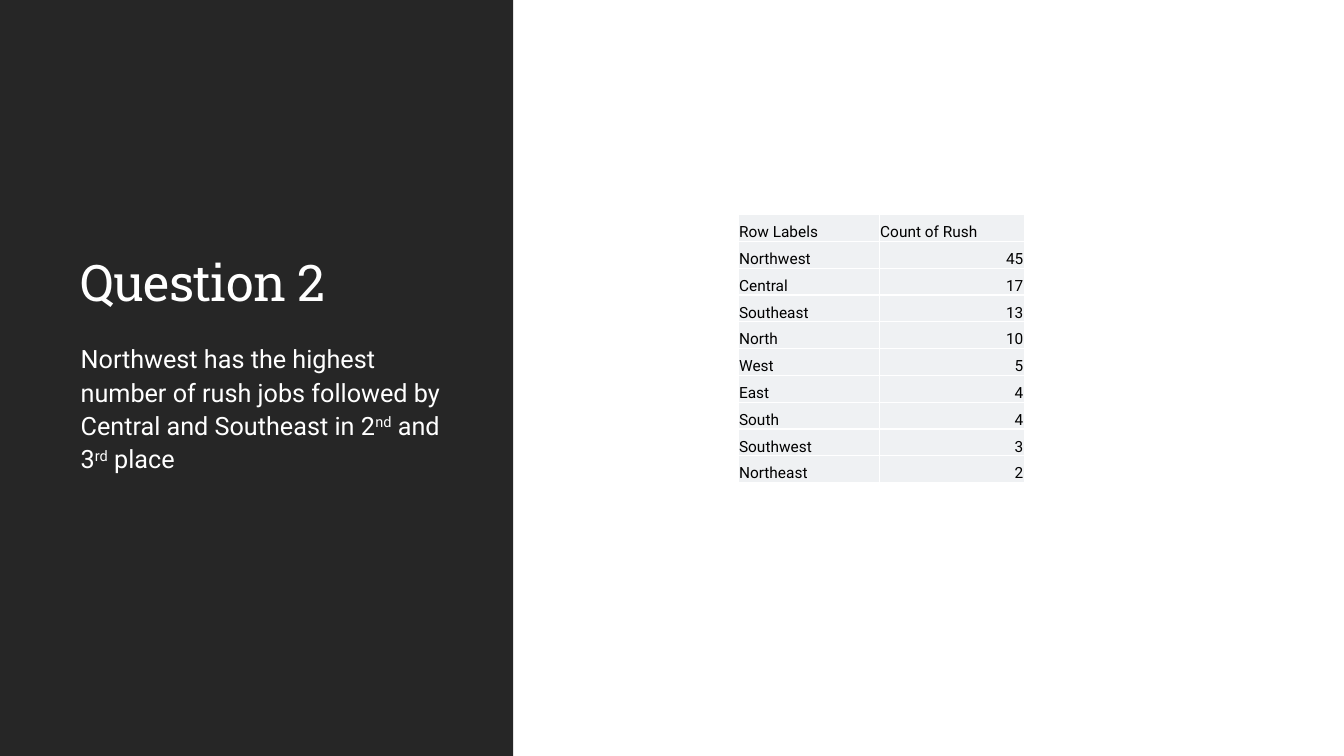
from lxml.etree import SubElement
from pptx import Presentation
from pptx.dml.color import RGBColor
from pptx.enum.shapes import MSO_SHAPE
from pptx.enum.text import MSO_ANCHOR, MSO_AUTO_SIZE, PP_ALIGN
from pptx.oxml import parse_xml
from pptx.oxml.ns import nsdecls, qn
from pptx.util import Inches, Pt


def paint(fill, color):
    fill.solid()
    fill.fore_color.rgb = RGBColor.from_string(color)


def write(frame, *parts, font, size, color, align=PP_ALIGN.LEFT,
          anchor=MSO_ANCHOR.TOP, line=1.0, before=0, after=0, spacing=0):
    """Fill the first paragraph; every second part is superscript."""
    frame.vertical_anchor = anchor
    paragraph = frame.paragraphs[0]
    paragraph.alignment = align
    paragraph.line_spacing = line
    paragraph.space_before, paragraph.space_after = Pt(before), Pt(after)
    for number, part in enumerate(parts):
        run = paragraph.add_run()
        run.text = part
        run.font.name, run.font.size, run.font.bold = font, Pt(size), False
        paint(run.font.fill, color)
        properties = run.font._element
        if spacing:
            properties.set("spc", str(int(spacing * 100)))
        if number % 2:
            properties.set("baseline", "30000")


presentation = Presentation()
presentation.slide_width, presentation.slide_height = Inches(13.33), Inches(7.5)
slide = presentation.slides.add_slide(presentation.slide_layouts[1])
paint(slide.background.fill, "FFFFFF")

# Dark side panel, behind the placeholders
panel = slide.shapes.add_shape(MSO_SHAPE.RECTANGLE, 0, 0, Inches(5.09), Inches(7.5))
panel.shadow.inherit = False
paint(panel.fill, "262626")
panel.line.fill.background()
panel.element.getparent().insert(2, panel.element)

# Heading and finding
heading, finding = slide.shapes.title, slide.placeholders[1]
for placeholder, top, height in ((heading, 0.86, 2.29), (finding, 3.33, 3.35)):
    placeholder.left, placeholder.top = Inches(0.7), Inches(top)
    placeholder.width, placeholder.height = Inches(3.85), Inches(height)
    placeholder.text_frame.word_wrap = True
    placeholder.text_frame.auto_size = MSO_AUTO_SIZE.NONE

write(heading.text_frame, "Question 2", font="Roboto Slab", size=36, color="FFFFFF",
      anchor=MSO_ANCHOR.BOTTOM, line=0.9, spacing=-0.5)
write(finding.text_frame,
      "Northwest has the highest number of rush jobs followed by "
      "Central and Southeast in 2", "nd", " and 3", "rd", " place",
      font="Roboto", size=18, color="FFFFFF", line=1.1, before=12, after=2)
finding_format = finding.text_frame.paragraphs[0]._p.get_or_add_pPr()
finding_format.set("marL", "0")
finding_format.set("indent", "0")
SubElement(finding_format, qn("a:buNone"))

# Rush jobs by region
rush_counts = [
    ("Row Labels", "Count of Rush"),
    ("Northwest", 45),
    ("Central", 17),
    ("Southeast", 13),
    ("North", 10),
    ("West", 5),
    ("East", 4),
    ("South", 4),
    ("Southwest", 3),
    ("Northeast", 2),
]
rush_table = slide.shapes.add_table(len(rush_counts), 2, Inches(7.32), Inches(2.13),
                                    Inches(2.84), Inches(2.66)).table
rush_table.first_row = rush_table.horz_banding = False
rush_table.columns[0].width = Inches(1.4)
rush_table.columns[1].width = Inches(1.44)

for row, entries in enumerate(rush_counts):
    for column, entry in enumerate(entries):
        cell = rush_table.cell(row, column)
        cell.margin_left = cell.margin_right = cell.margin_top = Inches(0.01)
        cell.margin_bottom = 0
        cell.vertical_anchor = MSO_ANCHOR.BOTTOM
        for side in "LRTB":
            cell._tc.get_or_add_tcPr().append(parse_xml(
                f'<a:ln{side} {nsdecls("a")} w="12700"><a:solidFill>'
                f'<a:srgbClr val="FFFFFF"/></a:solidFill></a:ln{side}>'))
        paint(cell.fill, "EFF1F3")
        write(cell.text_frame, str(entry), font="Roboto", size=11, color="000000",
              anchor=None,
              align=PP_ALIGN.RIGHT if isinstance(entry, int) else PP_ALIGN.LEFT)

presentation.save("out.pptx")
